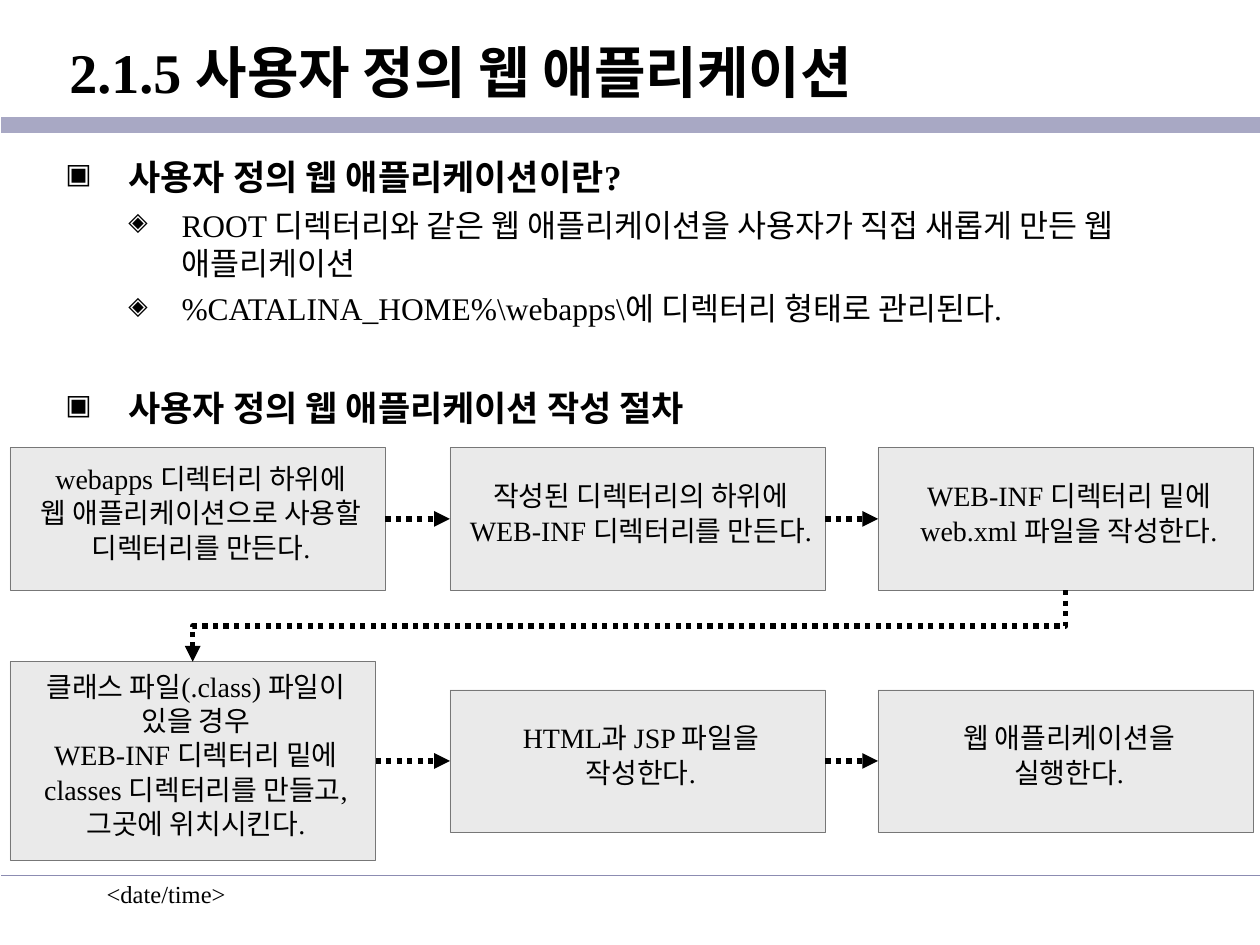
from lxml.etree import SubElement as Sub
from pptx import Presentation
from pptx.dml.color import RGBColor
from pptx.enum.dml import MSO_LINE_DASH_STYLE as Dash
from pptx.enum.shapes import MSO_CONNECTOR as Link, MSO_SHAPE as Kind
from pptx.enum.text import MSO_ANCHOR as Anchor, MSO_AUTO_SIZE as Fit, PP_ALIGN as Align
from pptx.oxml.ns import qn
from pptx.util import Cm, Pt

BLACK = "000000"


def hue(code):
    return RGBColor.from_string(code)


class Deck:
    face = "Times New Roman"
    fill = "EAEAEA"
    edge = "777777"

    def __init__(self, file):
        self.slide = file.slides.add_slide(file.slide_layouts[5])
        self.shapes = self.slide.shapes

    def style(self, para, size, bold=False):
        for run in para.runs:
            font = run.font
            font.name, font.size, font.bold = self.face, Pt(size), bold
            font.color.rgb = hue(BLACK)

    def title(self, text, x, y, w, h, inset):
        box = self.shapes.title
        box.left, box.top, box.width, box.height = Cm(x), Cm(y), Cm(w), Cm(h)
        frame = box.text_frame
        frame.text = text
        frame.word_wrap, frame.auto_size = True, Fit.NONE
        frame.vertical_anchor = Anchor.MIDDLE
        frame.margin_left = Cm(inset)
        frame.paragraphs[0].alignment = Align.LEFT
        self.style(frame.paragraphs[0], 32, True)

    def text(self, x, y, w, h):
        frame = self.shapes.add_textbox(Cm(x), Cm(y), Cm(w), Cm(h)).text_frame
        frame.word_wrap = True
        return frame

    def note(self, text, size, *area):
        frame = self.text(*area)
        frame.text = text
        self.style(frame.paragraphs[0], size)

    def bullet(self, para, mark, left, hang):
        props = para._p.get_or_add_pPr()
        props.set("marL", str(Cm(left)))
        props.set("indent", str(-Cm(hang)))
        Sub(Sub(props, qn("a:buClr")), qn("a:srgbClr"), val=BLACK)
        Sub(props, qn("a:buSzPct"), val="80000")
        Sub(props, qn("a:buChar"), char=mark)

    def list(self, items, *area):
        frame = self.text(*area)
        frame.text = "\n".join(text for text, _, _ in items)
        for para, (_, level, gap) in zip(frame.paragraphs, items):
            if level:
                self.bullet(para, "◈", 2.34, 1.07)
                para.level = level
            else:
                self.bullet(para, "▣", 1.27, 1.27)
            para.space_before = Pt(gap)
            self.style(para, 18 if level else 20, not level)

    def step(self, text, x, mid, w, h):
        box = self.shapes.add_shape(Kind.RECTANGLE, Cm(x), Cm(mid - h / 2), Cm(w), Cm(h))
        box.shadow.inherit = False
        box.fill.solid()
        box.fill.fore_color.rgb = hue(self.fill)
        box.line.color.rgb = hue(self.edge)
        box.line.width = Pt(0.25)
        frame = box.text_frame
        frame.text = text
        frame.word_wrap, frame.vertical_anchor = True, Anchor.MIDDLE
        frame.margin_left, frame.margin_right = Cm(0.13), 0
        for i, para in enumerate(frame.paragraphs):
            para.alignment = Align.CENTER
            para.line_spacing = 0.5
            para.space_before = Pt(10 if i else 0)
            self.style(para, 16)

    def line(self, x1, y1, x2, y2, color, width, kind=Link.STRAIGHT):
        line = self.shapes.add_connector(kind, Cm(x1), Cm(y1), Cm(x2), Cm(y2))
        line.line.color.rgb = hue(color)
        line.line.width = Pt(width)
        Sub(line._element.spPr, qn("a:effectLst"))
        return line

    def arrow(self, x1, y1, x2, y2, kind=Link.STRAIGHT):
        line = self.line(x1, y1, x2, y2, BLACK, 3, kind)
        line.line.dash_style = Dash.ROUND_DOT
        Sub(line.line._get_or_add_ln(), qn("a:tailEnd"), type="triangle")
        return line

    def drop(self, x1, y1, x2, y2):
        mid_x, mid_y = (x1 + x2) / 2, (y1 + y2) / 2
        w, h = (y2 - y1) / 2, (x1 - x2) / 2
        line = self.arrow(mid_x - w, mid_y - h, mid_x + w, mid_y + h, Link.ELBOW)
        line._element.spPr.find(qn("a:xfrm")).set("rot", "5400000")


def main():
    file = Presentation()
    file.slide_width, file.slide_height = Cm(25.4), Cm(19.05)
    deck = Deck(file)

    deck.note("<date/time>", 14, 1.9, 17.6, 5.28, 1.27)
    for y, color, width in ((2.52, "A8A8C4", 9.25), (17.65, "8C8CB2", 1)):
        deck.line(0.03, y, 25.4, y, color, width)
    deck.title("2.1.5 사용자 정의 웹 애플리케이션", 0.03, 0.28, 25.37, 2.29, 1.37)
    deck.list([
        ("사용자 정의 웹 애플리케이션이란?", 0, 0),
        ("ROOT 디렉터리와 같은 웹 애플리케이션을 사용자가 직접 새롭게 만든 웹 애플리케이션", 1, 4.5),
        ("%CATALINA_HOME%\\webapps\\에 디렉터리 형태로 관리된다.", 1, 4.5),
        ("사용자 정의 웹 애플리케이션 작성 절차", 0, 34),
    ], 1.07, 3.02, 23.27, 5.87)

    cols = (0.2, 9.07, 17.7)
    wide, tall = 7.57, 2.87
    rows = (
        (10.46, wide, tall, (
            "webapps 디렉터리 하위에\n웹 애플리케이션으로 사용할\n디렉터리를 만든다.",
            "작성된 디렉터리의 하위에\nWEB-INF 디렉터리를 만든다.",
            "WEB-INF 디렉터리 밑에\nweb.xml 파일을 작성한다.")),
        (15.34, 7.37, 4, (
            "클래스 파일(.class) 파일이\n있을 경우\nWEB-INF 디렉터리 밑에\n"
            "classes 디렉터리를 만들고,\n그곳에 위치시킨다.",
            "HTML과 JSP 파일을\n작성한다.",
            "웹 애플리케이션을\n실행한다.")),
    )
    for mid, first, high, texts in rows:
        sizes = ((first, high), (wide, tall), (wide, tall))
        for x, text, (w, h) in zip(cols, texts, sizes):
            deck.step(text, x, mid, w, h)
        for x, (w, _), end in zip(cols, sizes, cols[1:]):
            deck.arrow(x + w, mid, end, mid)
    (top, _, _, _), (low, first, high, _) = rows
    deck.drop(cols[2] + wide / 2, top + tall / 2, cols[0] + first / 2, low - high / 2)
    file.save("out.pptx")


if __name__ == "__main__":
    main()
